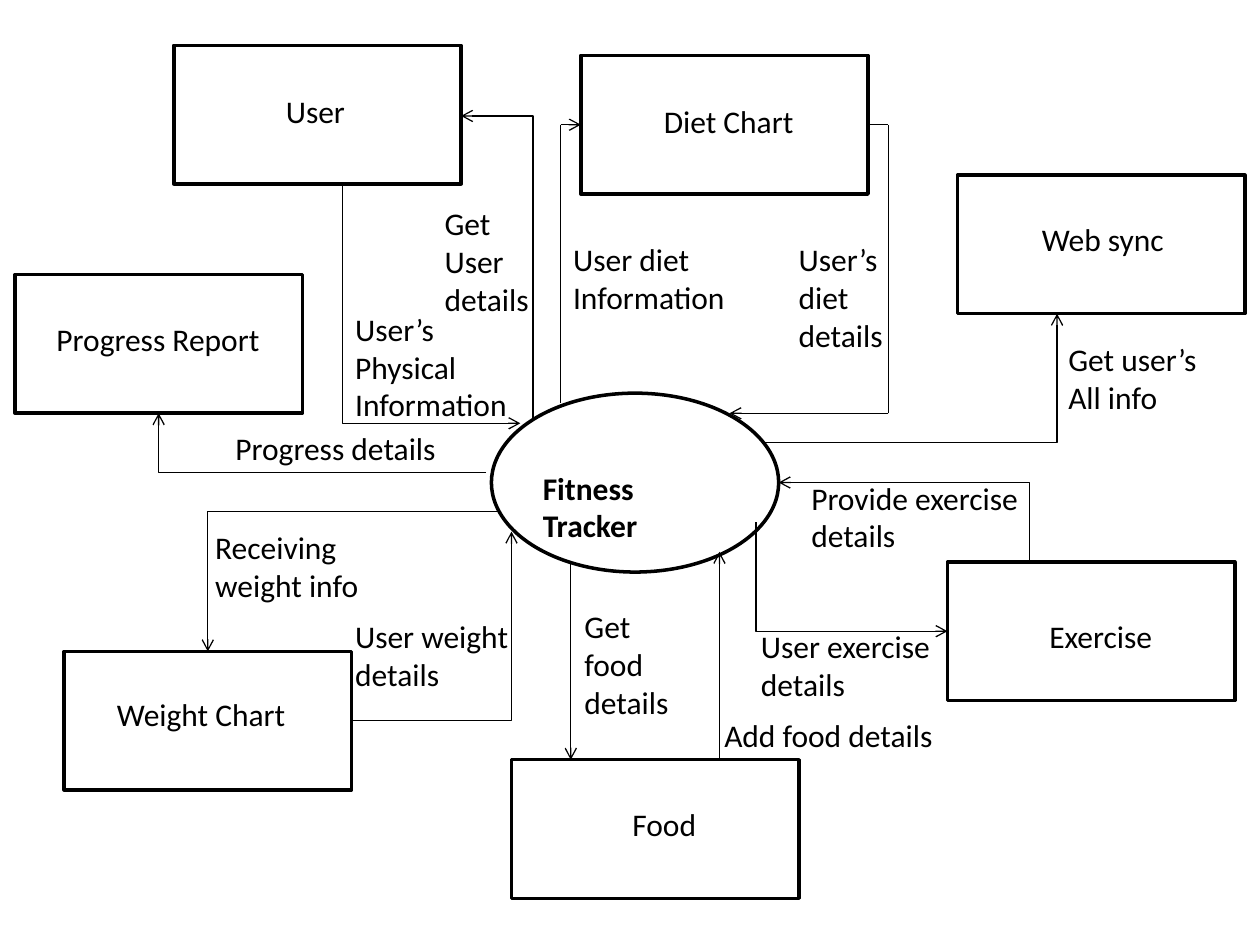
from lxml import etree
from pptx import Presentation
from pptx.dml.color import RGBColor
from pptx.enum.shapes import MSO_CONNECTOR, MSO_SHAPE
from pptx.oxml.ns import qn
from pptx.util import Inches, Pt

RECT, OVAL = MSO_SHAPE.RECTANGLE, MSO_SHAPE.OVAL
LINE, ELBOW = MSO_CONNECTOR.STRAIGHT, MSO_CONNECTOR.ELBOW
HEX = {"ink": "000000"}
INK = RGBColor.from_string(HEX["ink"])
FONT = {"name": "Calibri", "size": Pt(18)}
NODE = (2.28, 1.1)
ROW = 0.3

NODES = [
    ("User", 1.38, 0.36, 0.79, 0.32, 0.68),
    ("Diet Chart", 4.61, 0.44, 0.56, 0.32, 1.24),
    ("Web sync", 7.6, 1.39, 0.57, 0.31, 1.24),
    ("Progress Report", 0.12, 2.18, 0.23, 0.31, 1.83),
    ("Exercise", 7.52, 4.46, 0.71, 0.39, 1.03),
    ("Weight Chart", 0.51, 5.17, 0.32, 0.3, 1.55),
    ("Food", 4.06, 6.03, 0.86, 0.31, 0.71),
]
NOTES = [
    ("Get\nUser\ndetails", 3.43, 1.57, 0.88),
    ("User’s\nPhysical\nInformation", 2.72, 2.41, 1.42),
    ("User diet\nInformation", 4.45, 1.86, 1.42),
    ("User’s\ndiet\ndetails", 6.24, 1.86, 0.89),
    ("Get user’s\nAll info", 8.38, 2.65, 1.29),
    ("Progress details", 1.77, 3.36, 1.81),
    ("Provide exercise\ndetails", 6.34, 3.75, 1.92),
    ("Receiving\nweight info", 1.61, 4.14, 1.35),
    ("User weight\ndetails", 2.72, 4.85, 1.43),
    ("Get\nfood\ndetails", 4.54, 4.77, 0.93),
    ("User exercise\ndetails", 5.94, 4.93, 1.61),
    ("Add food details", 5.65, 5.63, 1.93),
]
FLOWS = [
    (LINE, 7.05, 3.28, 5.79, 3.28, "tailEnd"),
    (LINE, 7.05, 3.28, 7.05, 0.99, None),
    (LINE, 6.89, 0.99, 7.05, 0.99, None),
    (LINE, 4.45, 0.99, 4.61, 0.99, "tailEnd"),
    (LINE, 4.45, 0.99, 4.45, 3.2, None),
    (LINE, 4.53, 4.46, 4.53, 6.03, "tailEnd"),
    (LINE, 5.71, 6.03, 5.71, 4.38, "tailEnd"),
    (LINE, 2.72, 2.25, 2.72, 1.47, None),
    (ELBOW, 7.52, 5.01, 6.0, 4.14, "headEnd"),
    (ELBOW, 6.18, 3.83, 8.17, 4.46, "headEnd"),
    (ELBOW, 6.06, 3.51, 8.39, 2.49, "tailEnd"),
    (ELBOW, 2.8, 5.72, 4.06, 4.22, "tailEnd"),
    (ELBOW, 3.98, 4.06, 1.65, 5.17, "tailEnd"),
    (ELBOW, 3.86, 3.75, 1.26, 3.28, "tailEnd"),
    (ELBOW, 3.66, 0.92, 4.23, 3.33, "headEnd"),
    (ELBOW, 4.13, 3.36, 2.72, 2.18, "headEnd"),
]


def add_note(slide, text, x, y, wide, bold=False):
    """Place a left-aligned label, one paragraph for each row."""
    rows = text.split("\n")
    high = ROW * len(rows) + 0.1
    frame = slide.shapes.add_textbox(*map(Inches, (x, y, wide, high))).text_frame
    frame.word_wrap = True
    frame.text = text
    for para in frame.paragraphs:
        for key, value in {**FONT, "bold": bold}.items():
            setattr(para.font, key, value)
        para.font.color.rgb = INK


def add_frame(slide, kind, x, y, wide, high):
    """Draw an unfilled outline."""
    shape = slide.shapes.add_shape(kind, *map(Inches, (x, y, wide, high)))
    shape.shadow.inherit = False
    shape.fill.background()
    shape.line.color.rgb = INK
    shape.line.width = Pt(2)


def add_node(slide, name, x, y, dx, dy, wide):
    """Draw one entity box with its name set inside it."""
    add_frame(slide, RECT, x, y, *NODE)
    add_note(slide, name, x + dx, y + dy, wide)


def add_hub(slide, x, y):
    """Draw the central process and its name."""
    add_frame(slide, OVAL, x, y, 2.28, 1.42)
    add_note(slide, "Fitness\vTracker", x + 0.31, y + 0.55, 1.73, True)


def add_flow(slide, kind, x1, y1, x2, y2, end):
    """Draw a flow; an elbow runs across first, then up or down."""
    flow = slide.shapes.add_connector(kind, *map(Inches, (x1, y1, x2, y2)))
    flow.line.color.rgb = INK
    flow.line.width = Pt(0.75)
    props = flow._element.spPr
    if kind == ELBOW:
        props.find(qn("a:prstGeom")).set("prst", "bentConnector2")
    if end:
        etree.SubElement(props.find(qn("a:ln")), qn("a:" + end), type="arrow")
    etree.SubElement(props, qn("a:effectLst"))


def main():
    """Build the data flow slide."""
    deck = Presentation()
    deck.slide_width, deck.slide_height = Inches(10), Inches(7.5)
    slide = deck.slides.add_slide(deck.slide_layouts[6])
    add_hub(slide, 3.9, 3.12)
    for node in NODES:
        add_node(slide, *node)
    for flow in FLOWS:
        add_flow(slide, *flow)
    for note in NOTES:
        add_note(slide, *note)
    deck.save("out.pptx")


main()
